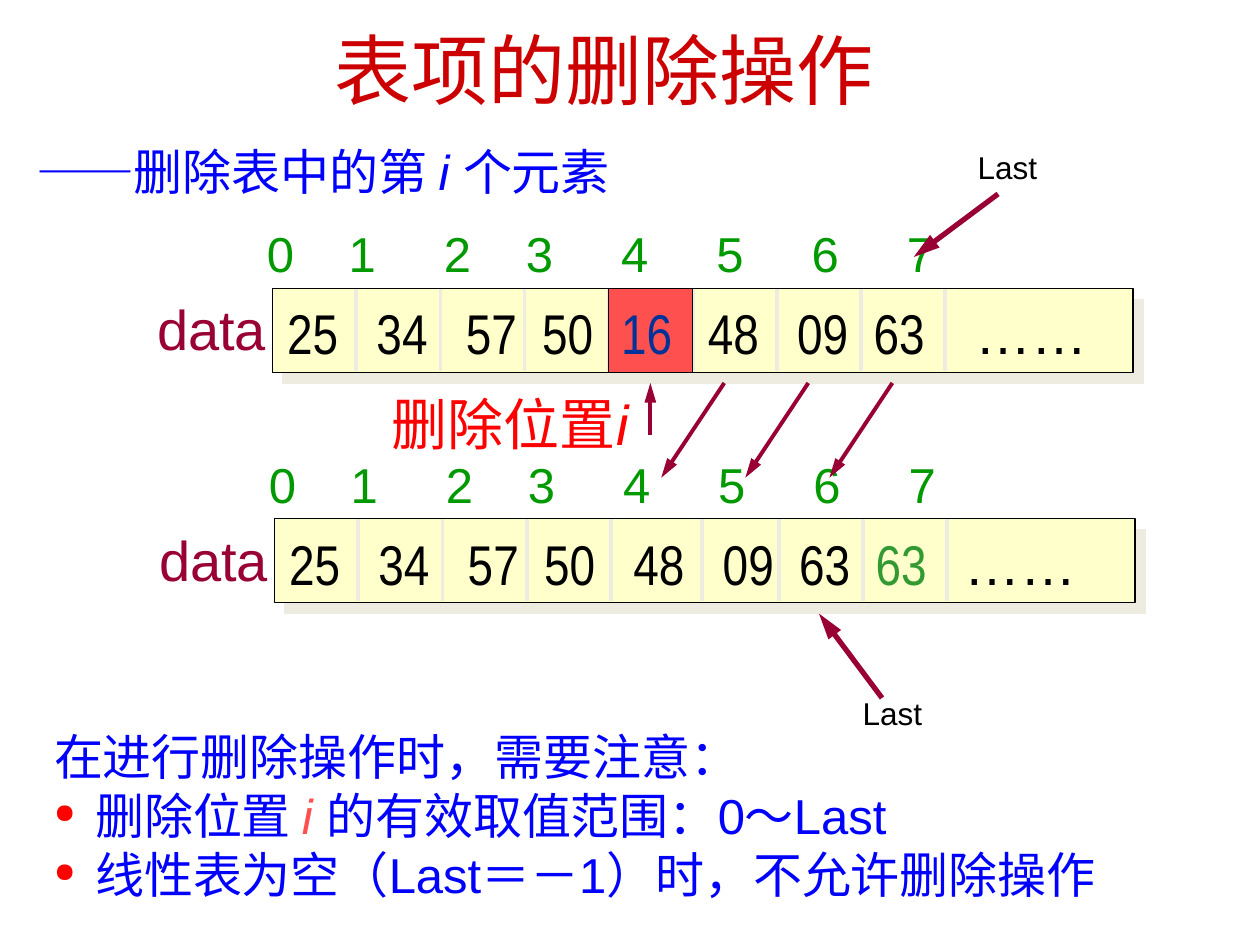
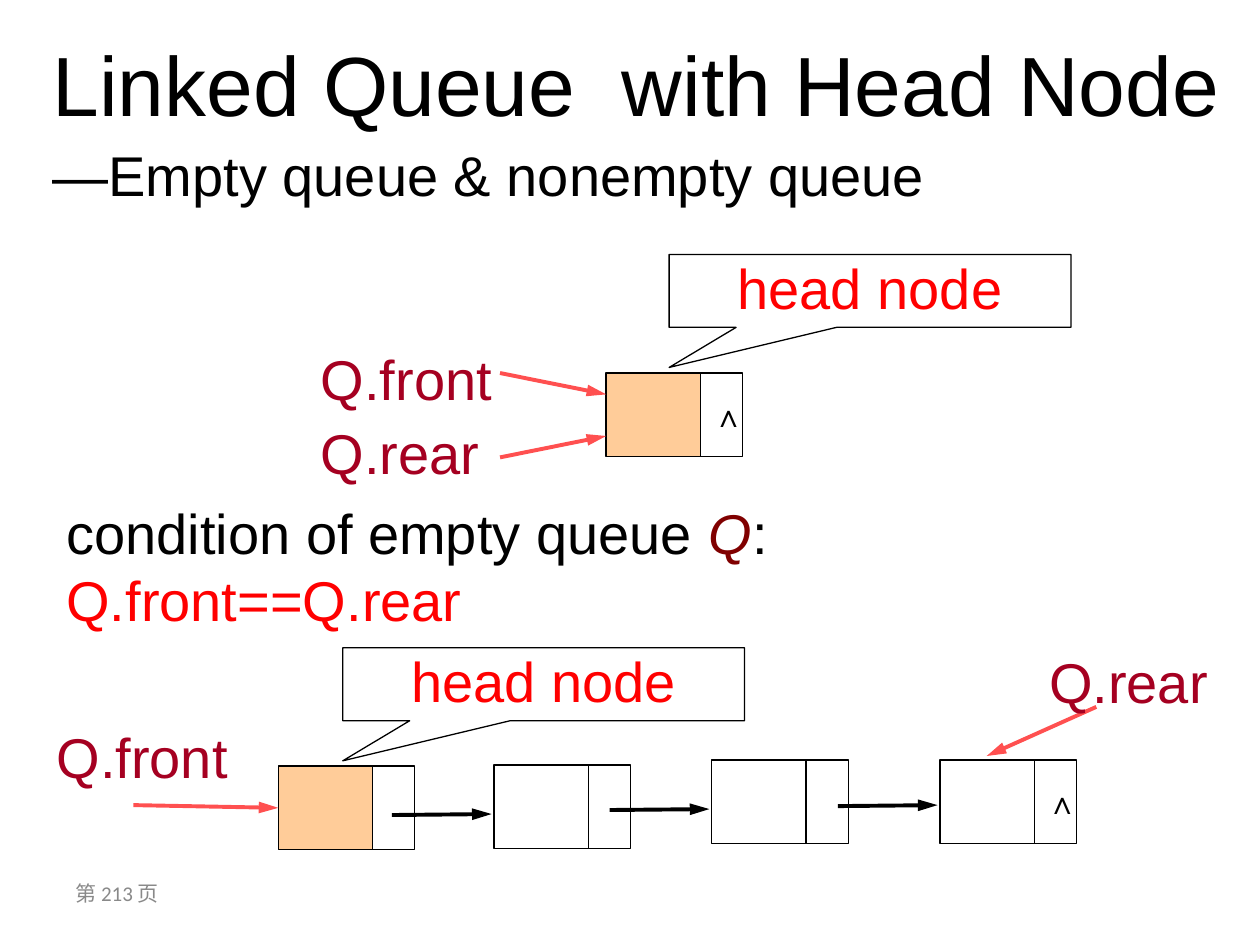
from itertools import accumulate

from lxml import etree
from pptx import Presentation
from pptx.dml.color import RGBColor
from pptx.enum.shapes import MSO_CONNECTOR, MSO_SHAPE
from pptx.enum.text import MSO_ANCHOR, MSO_AUTO_SIZE, PP_ALIGN
from pptx.oxml.ns import qn
from pptx.util import Cm, Pt

STRAIGHT = MSO_CONNECTOR.STRAIGHT
RECT = MSO_SHAPE.RECTANGLE
CALLOUT = MSO_SHAPE.RECTANGULAR_CALLOUT
TOP, MIDDLE = MSO_ANCHOR.TOP, MSO_ANCHOR.MIDDLE
GROW, FIXED = MSO_AUTO_SIZE.SHAPE_TO_FIT_TEXT, MSO_AUTO_SIZE.NONE
LEFT, CENTER = PP_ALIGN.LEFT, PP_ALIGN.CENTER
LEFT_SIDE = 1

BLACK = RGBColor(0x00, 0x00, 0x00)
TITLE_RED = RGBColor(0xCC, 0x00, 0x00)
RED = RGBColor(0xFF, 0x00, 0x00)
CORAL = RGBColor(0xFF, 0x50, 0x50)
CRIMSON = RGBColor(0x99, 0x00, 0x33)
POINTER_RED = RGBColor(0xA5, 0x00, 0x21)
MAROON = RGBColor(0x80, 0x00, 0x00)
BLUE = RGBColor(0x00, 0x00, 0xFF)
NAVY = RGBColor(0x00, 0x33, 0x99)
INDEX_GREEN = RGBColor(0x00, 0x99, 0x00)
STALE_GREEN = RGBColor(0x33, 0x99, 0x33)
CREAM = RGBColor(0xFF, 0xFF, 0xCC)
PEACH = RGBColor(0xFF, 0xCC, 0x99)
SAND = RGBColor(0xEE, 0xEC, 0xE1)
GREY = RGBColor(0x89, 0x89, 0x89)

SANS, NARROW = "Arial", "Arial Narrow"

# Array geometry, in centimetres
CELL = 13.56 / 8
CELL_H = 1.69
ARRAY_W = 17.35
INDEX_GAPS = [1.65, 1.92, 1.65, 1.92, 1.92, 1.92, 1.92]
NEAR, FAR = 1.54, 1.8      # distances between neighbouring values

# Linked node geometry, in centimetres
DATA_W, LINK_W, NODE_H = 1.9, 0.85, 1.69


# ---------- text ----------
def fmt(size, color, name=SANS, italic=False):
    return {"size": Pt(size), "name": name, "italic": italic, "color": color}


def add_runs(paragraph, runs, base):
    """runs: a string, or a list of strings and (string, changes) pairs."""
    for item in [runs] if isinstance(runs, str) else runs:
        text, changes = (item, {}) if isinstance(item, str) else item
        run = paragraph.add_run()
        run.text = text
        for key, value in {**base, **changes}.items():
            if key == "color":
                run.font.color.rgb = value
            else:
                setattr(run.font, key, value)


def fill_frame(frame, paragraphs, base, wrap=True, anchor=TOP, resize=FIXED,
               align=LEFT, spacing=None):
    settings = {"word_wrap": wrap, "vertical_anchor": anchor,
                "auto_size": resize}
    for key, value in settings.items():
        setattr(frame, key, value)
    for number, runs in enumerate(paragraphs):
        paragraph = frame.add_paragraph() if number else frame.paragraphs[0]
        paragraph.alignment = align
        if spacing:
            paragraph.line_spacing = spacing
        add_runs(paragraph, runs, base)


def add_text(slide, box, paragraphs, base, **options):
    label = slide.shapes.add_textbox(*map(Cm, box))
    fill_frame(label.text_frame, paragraphs, base,
               **{"resize": GROW, **options})
    return label.text_frame.paragraphs


def set_tabs(paragraph, gaps):
    stops = etree.SubElement(paragraph._p.get_or_add_pPr(), qn("a:tabLst"))
    for position in accumulate(gaps):
        etree.SubElement(stops, qn("a:tab"), pos=str(Cm(position)), algn="l")


def set_bullet(paragraph, indent):
    props = paragraph._p.get_or_add_pPr()
    props.set("marL", str(Cm(indent)))
    props.set("indent", str(-Cm(indent)))
    color = etree.SubElement(props, qn("a:buClr"))
    etree.SubElement(color, qn("a:srgbClr"), val=str(RED))
    etree.SubElement(props, qn("a:buSzPct"), val="55000")
    etree.SubElement(props, qn("a:buChar"), char="●")


# ---------- shapes and lines ----------
def add_box(slide, box, fill=None, kind=RECT):
    shape = slide.shapes.add_shape(kind, *map(Cm, box))
    shape.shadow.inherit = False
    if fill is None:
        shape.fill.background()
    else:
        shape.fill.solid()
        shape.fill.fore_color.rgb = fill
    shape.line.color.rgb = BLACK
    shape.line.width = Pt(0.75)
    return shape


def add_drop_shadow(shape):
    effects = shape._element.spPr.find(qn("a:effectLst"))
    shadow = etree.SubElement(effects, qn("a:outerShdw"), blurRad="0",
                              dist=str(Pt(8.5)), dir=str(45 * 60000),
                              algn="ctr", rotWithShape="0")
    etree.SubElement(shadow, qn("a:srgbClr"), val=str(SAND))


def add_line(slide, start, end, color, width=2.25):
    line = slide.shapes.add_connector(STRAIGHT, *map(Cm, start + end))
    line.line.color.rgb = color
    line.line.width = Pt(width)
    etree.SubElement(line._element.spPr, qn("a:effectLst"))
    return line


def add_arrow(slide, start, end, color, width=2.25):
    arrow = add_line(slide, start, end, color, width)
    etree.SubElement(arrow.line._get_or_add_ln(), qn("a:tailEnd"),
                     type="triangle", w="med", len="lg")
    return arrow


# ---------- sequential list ----------
def add_array(slide, left, top, values, gaps, nudges):
    bar = add_box(slide, (left, top, ARRAY_W, CELL_H), CREAM)
    add_drop_shadow(bar)
    value_line = add_text(slide, (left + 0.05, top + 0.08, 17.12, 1.63),
                          [values], fmt(32, BLACK, NARROW))[0]
    set_tabs(value_line, gaps)
    for number in range(1, 9):
        x = left + number * CELL + nudges.get(number, 0)
        add_line(slide, (x, top), (x, top + CELL_H - 0.03), SAND)
    indexes = add_text(slide, (left - 0.36, top - 1.43, 14.2, 1.45),
                       ["\t".join(map(str, range(8)))],
                       fmt(28, INDEX_GREEN))[0]
    set_tabs(indexes, INDEX_GAPS)
    add_text(slide, (left - 2.57, top, 2.9, 1.63), ["data"],
             fmt(32, CRIMSON), wrap=False)


def add_last_pointer(slide, label_at, start, end):
    add_arrow(slide, start, end, CRIMSON, 3)
    add_text(slide, (*label_at, 1.9, 1.02), ["Last"], fmt(18, BLACK),
             wrap=False)


def build_deletion(slide):
    italic = {"italic": True}
    add_text(slide, (6.5, 0.33, 12.62, 2.13), ["表项的删除操作"],
             fmt(44, TITLE_RED))

    # Before: the element to delete is highlighted
    left, top = 5.49, 5.82
    add_array(slide, left, top,
              ["25\t34\t57\t50\t\t48\t09\t63\t", ("……", {"name": SANS})],
              [FAR, FAR, NEAR, NEAR, FAR, FAR, NEAR, 2.06], {})
    doomed = left + 4 * CELL
    add_box(slide, (doomed, top, CELL, CELL_H), CORAL)
    add_text(slide, (doomed, top + 0.08, 1.75, 1.63), ["16"],
             fmt(32, NAVY, NARROW), wrap=False)
    add_arrow(slide, (13.11, 8.76), (13.11, 7.72), CRIMSON)
    add_text(slide, (7.65, 7.72, 5.49, 2.97), [["删除位置", ("i", italic)]],
             fmt(32, RED))

    # After: later elements move one cell forward
    add_array(slide, 5.53, 10.46,
              ["25\t34\t57\t50\t48\t09\t63\t",
               ("63\t", {"color": STALE_GREEN}), ("……", {"name": SANS})],
              [FAR, FAR, NEAR, FAR, FAR, NEAR, NEAR, FAR], {5: 0.15})
    for number in range(3):
        shift = number * CELL
        add_arrow(slide, (14.6 + shift, 7.72), (13.33 + shift, 9.63), CRIMSON)

    add_last_pointer(slide, (19.46, 2.86), (20.12, 3.91), (18.42, 5.18))
    add_last_pointer(slide, (17.14, 13.86), (17.78, 14.07), (16.51, 12.37))

    # Notes and subtitle
    notes = add_text(slide, (0.84, 14.53, 23.93, 3.81), [
        "在进行删除操作时，需要注意：",
        ["删除位置 ", ("i ", {"italic": True, "color": CORAL}),
         "的有效取值范围：0～Last"],
        "线性表为空（Last＝－1）时，不允许删除操作",
    ], fmt(28, BLUE))
    for rule in notes[1:]:
        set_bullet(rule, 0.83)
    add_text(slide, (0.48, 2.72, 13.82, 1.45),
             [["——删除表中的第 ", ("i ", italic), "个元素"]], fmt(28, BLUE))


# ---------- linked queue ----------
def add_node(slide, left, top, fill=None, last=False):
    data = add_box(slide, (left, top, DATA_W, NODE_H), fill)
    link = add_box(slide, (left + DATA_W, top, LINK_W, NODE_H))
    if last:
        fill_frame(link.text_frame, ["∧"], fmt(18, BLACK), wrap=False,
                   anchor=MIDDLE)
    return data


def add_head_callout(slide, left, top):
    callout = add_box(slide, (left, top, 8.1, 1.47), kind=CALLOUT)
    callout.adjustments[0] = -0.5
    callout.adjustments[1] = 1.05
    fill_frame(callout.text_frame, ["head node"], fmt(32, RED),
               align=CENTER, spacing=0.9)


def build_queue(slide):
    pointer = fmt(32, POINTER_RED)
    add_text(slide, (1.27, 17.35, 5.92, 1.32), ["第 213 页"],
             fmt(12, GREY, "Calibri"), anchor=MIDDLE, resize=FIXED)
    heading = add_text(slide, (0.81, 0.53, 24.1, 3.78),
                       ["Linked Queue  with Head Node",
                        [("—Empty queue & nonempty queue", {"size": Pt(32)})]],
                       fmt(48, BLACK))
    heading[1].space_before = Pt(4)

    # Empty queue
    add_node(slide, 12.22, 7.52, PEACH, last=True)
    add_text(slide, (6.22, 6.68, 3.96, 3.25), ["Q.front", "Q.rear"],
             pointer, wrap=False, spacing=1.1)
    for start_y, end_y in [(7.52, 7.95), (9.22, 8.79)]:
        add_arrow(slide, (10.08, start_y), (12.22, end_y), CORAL)
    add_head_callout(slide, 13.49, 5.13)
    add_text(slide, (1.09, 9.93, 23.22, 2.97), [
        ["condition of empty queue ",
         ("Q", {"color": MAROON, "italic": True}), ":"],
        [("Q.front==Q.rear", {"color": RED})],
    ], fmt(32, BLACK))

    # Nonempty queue
    head = add_node(slide, 5.61, 15.44, PEACH)
    add_node(slide, 9.96, 15.42)
    add_node(slide, 14.35, 15.32)
    add_node(slide, 18.95, 15.32, last=True)
    for x, y in [(7.9, 16.43), (12.29, 16.33), (16.89, 16.25)]:
        add_arrow(slide, (x, y), (x + 2.01, y - 0.02), BLACK)
    front = add_arrow(slide, (2.69, 16.23), (5.61, 16.28), CORAL)
    front.end_connect(head, LEFT_SIDE)
    add_arrow(slide, (22.1, 14.25), (19.89, 15.24), CORAL)
    add_text(slide, (0.89, 14.3, 4.39, 1.75), ["Q.front"], pointer,
             spacing=1.1)
    add_text(slide, (20.9, 12.52, 3.81, 2.03), ["Q.rear"], pointer,
             spacing=1.3)
    add_head_callout(slide, 6.91, 13.06)


def main():
    deck = Presentation()
    deck.slide_width, deck.slide_height = Cm(25.4), Cm(19.05)
    blank = deck.slide_layouts[6]
    for build in (build_deletion, build_queue):
        build(deck.slides.add_slide(blank))
    deck.save("out.pptx")


if __name__ == "__main__":
    main()
